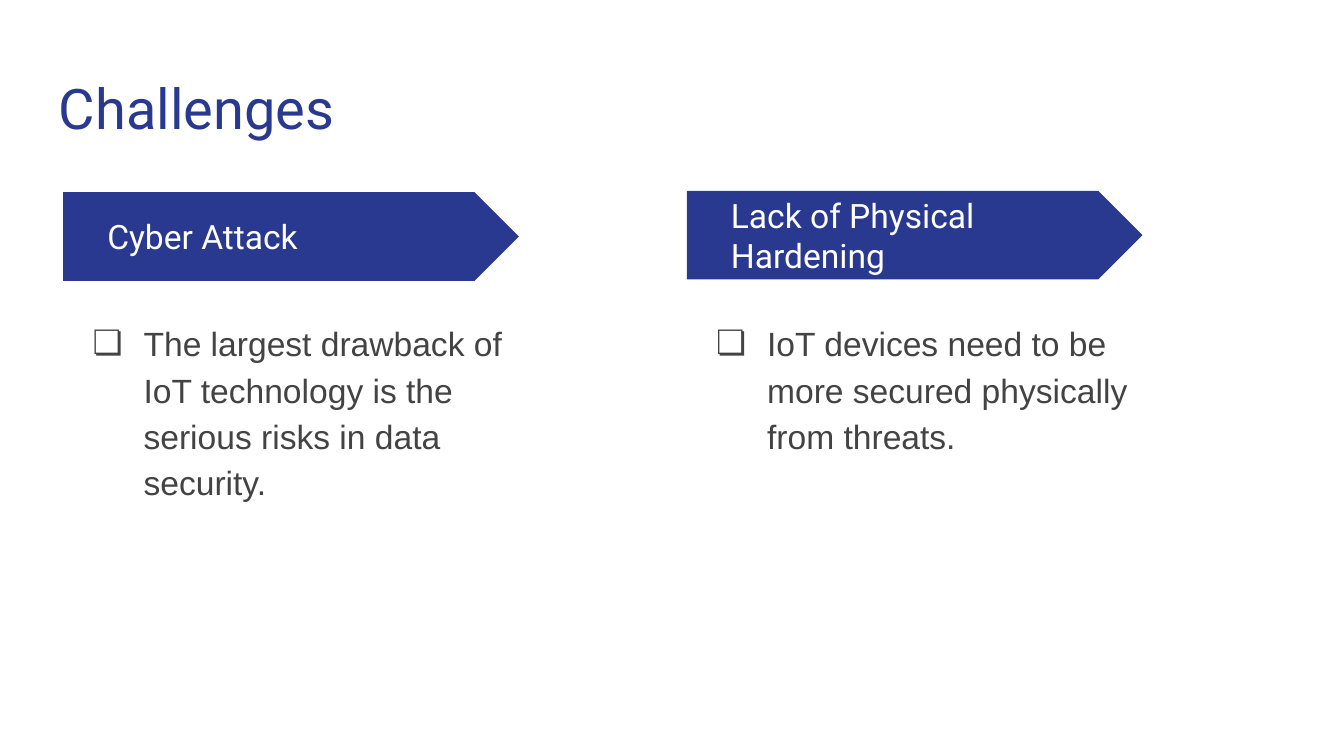
from dataclasses import dataclass

from lxml import etree
from pptx import Presentation
from pptx.dml.color import RGBColor
from pptx.enum.shapes import MSO_SHAPE
from pptx.enum.text import MSO_ANCHOR
from pptx.oxml.ns import qn
from pptx.util import Inches, Pt

PENTAGON = MSO_SHAPE.PENTAGON
TOP, MIDDLE = MSO_ANCHOR.TOP, MSO_ANCHOR.MIDDLE
NAVY = RGBColor(0x2A, 0x39, 0x90)
GRAY = RGBColor(0x43, 0x43, 0x43)
WHITE = RGBColor(0xFF, 0xFF, 0xFF)
HEADING_FONT, BODY_FONT = "Roboto", "Arial"
DETAIL_TOP = 2.26


@dataclass(frozen=True)
class Challenge:
    left: float
    top: float
    heading: str
    detail: str


CHALLENGES = (
    Challenge(0.47, 1.43, "Cyber Attack",
              "The largest drawback of IoT technology is the serious risks in data security."),
    Challenge(5.11, 1.42, "Lack of Physical Hardening",
              "IoT devices need to be more secured physically from threats."),
)


def add_text(s, text: str, left: float, top: float, width: float, height: float, *,
             size: int = 18, font: str = HEADING_FONT, color: RGBColor = WHITE,
             anchor=TOP, bullet: str = "") -> None:
    box = s.shapes.add_textbox(Inches(left), Inches(top), Inches(width), Inches(height))
    tf = box.text_frame
    tf.word_wrap = True
    tf.vertical_anchor = anchor
    tf.margin_left = tf.margin_right = tf.margin_top = tf.margin_bottom = Inches(0.1)
    p = tf.paragraphs[0]
    if bullet:
        pPr = p._p.get_or_add_pPr()
        pPr.set("marL", str(Inches(0.5)))
        pPr.set("indent", str(Inches(-0.38)))
        bu_color = etree.SubElement(pPr, qn("a:buClr"))
        etree.SubElement(bu_color, qn("a:srgbClr"), val=str(color))
        etree.SubElement(pPr, qn("a:buFont"), typeface=font)
        etree.SubElement(pPr, qn("a:buChar"), char=bullet)
        p.line_spacing = 1.15
    r = p.add_run()
    r.text = text
    r.font.name = font
    r.font.size = Pt(size)
    r.font.color.rgb = color


def add_challenge(s, item: Challenge) -> None:
    sp = s.shapes.add_shape(PENTAGON, Inches(item.left), Inches(item.top),
                            Inches(3.39), Inches(0.66))
    sp.shadow.inherit = False
    sp.fill.solid()
    sp.fill.fore_color.rgb = NAVY
    sp.line.fill.background()
    add_text(s, item.heading, item.left + 0.23, item.top + 0.16, 2.47, 0.34, anchor=MIDDLE)
    add_text(s, item.detail, item.left, DETAIL_TOP, 3.79, 1.94,
             font=BODY_FONT, color=GRAY, bullet="❏")


def main() -> None:
    """Build the slide of challenges and save it."""
    prs = Presentation()
    prs.slide_width = Inches(10)
    prs.slide_height = prs.slide_width * 9 // 16
    s = prs.slides.add_slide(prs.slide_layouts[6])
    add_text(s, "Challenges", 0.34, 0.45, 9.32, 0.66, size=30, color=NAVY)
    for item in CHALLENGES:
        add_challenge(s, item)
    prs.save("out.pptx")


if __name__ == "__main__":
    main()
